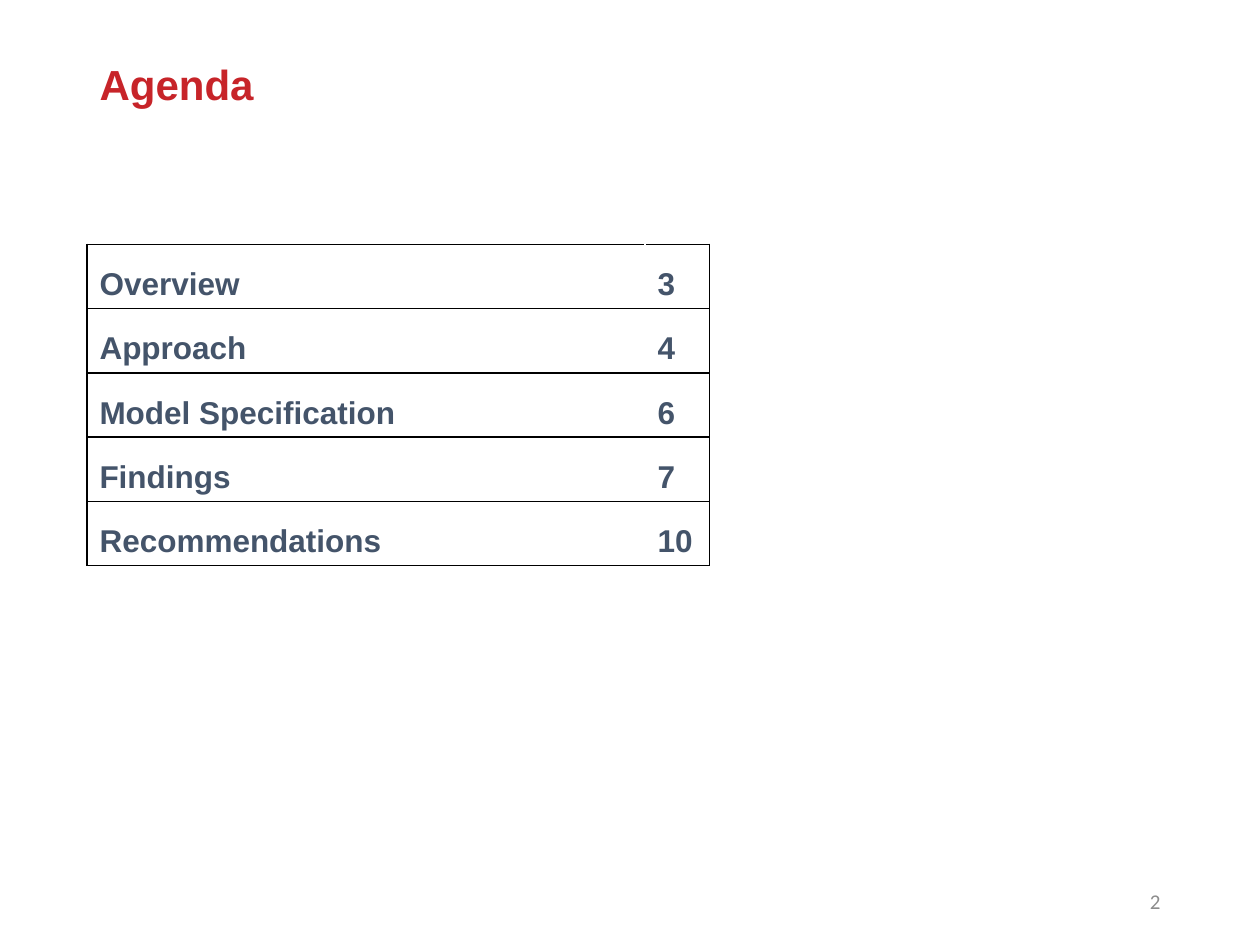
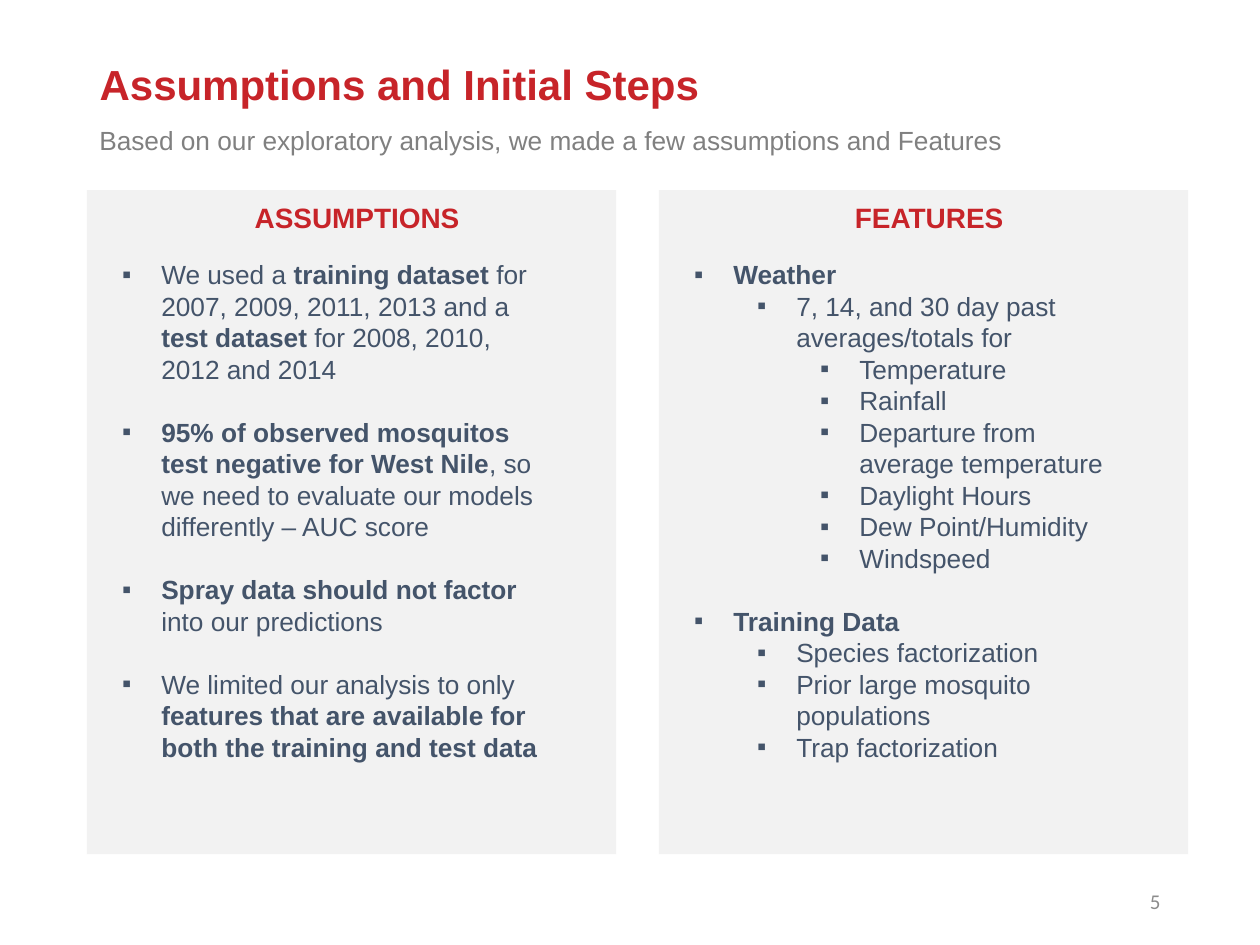
import pptx
import pptx.dml.color
import pptx.enum.shapes
import pptx.enum.text
import pptx.util
import lxml.etree

# Content: asterisks enclose bold words, numbers are list levels
AGENDA = [("Overview", "3"), ("Approach", "4"), ("Model Specification", "6"),
          ("Findings", "7"), ("Recommendations", "10")]
STEPS_TITLE = "Assumptions and Initial Steps"
STEPS_SUBTITLE = "Based on our exploratory analysis, we made a few assumptions and Features"
PANELS = [
    ("ASSUMPTIONS", [
        (0, "We used a *training dataset *for 2007, 2009, 2011, 2013 and a "
            "*test dataset *for 2008, 2010, 2012 and 2014"),
        (0, "*95% of observed mosquitos test negative for West Nile*, so we need to "
            "evaluate our models differently – AUC score"),
        (0, "*Spray data should not factor *into our predictions"),
        (0, "We limited our analysis to only *features that are available for both "
            "the training and test data*"),
    ]),
    ("FEATURES", [
        (0, "*Weather*"),
        (1, "7, 14, and 30 day past averages/totals for"),
        (2, "Temperature"),
        (2, "Rainfall"),
        (2, "Departure from average temperature"),
        (2, "Daylight Hours"),
        (2, "Dew Point/Humidity"),
        (2, "Windspeed"),
        (0, "*Training Data*"),
        (1, "Species factorization"),
        (1, "Prior large mosquito populations"),
        (1, "Trap factorization"),
    ]),
]

# Shared style and grid, in inches
RED, SLATE, GREY, PALE, FOOTER = "C72429", "44546A", "808080", "F2F2F2", "8C8C8C"
BLACK, WHITE = "000000", "FFFFFF"
LEFT = 0.69
PANEL_TOP, PANEL_WIDTH, PANEL_HEIGHT, PANEL_STEP = 1.51, 4.2, 5.27, 4.54
TEXT_WIDTH = 3.49
ROW_HEIGHT, COLUMN_WIDTHS = 0.51, (4.43, 0.51)
INDENT, LEVEL_STEP = 0.31, 0.5
BODY_SIZE, ITEM_GAP = 15, 18
ALIGN = pptx.enum.text.PP_ALIGN
ANCHOR = pptx.enum.text.MSO_ANCHOR
Inches, Pt = pptx.util.Inches, pptx.util.Pt


def color(value):
    return pptx.dml.color.RGBColor.from_string(value)


def style_font(font, size, value, bold=False, name="Arial"):
    font.name, font.size, font.bold = name, Pt(size), bold
    font.color.rgb = color(value)


def place(shape, left, top, width, height):
    shape.left, shape.top = Inches(left), Inches(top)
    shape.width, shape.height = Inches(width), Inches(height)


def set_frame(frame, anchor=ANCHOR.TOP, right=0.0):
    frame.word_wrap = True
    frame.auto_size = pptx.enum.text.MSO_AUTO_SIZE.NONE
    frame.vertical_anchor = anchor
    frame.margin_right = Inches(right)


def add_label(page, text, area, size, value, align=ALIGN.LEFT, **font):
    box = page.shapes.add_textbox(*map(Inches, area))
    set_frame(box.text_frame)
    para = box.text_frame.paragraphs[0]
    para.text, para.alignment = text, align
    style_font(para.runs[0].font, size, value, **font)
    return box


def add_page(deck, layout, title, number):
    page = deck.slides.add_slide(deck.slide_layouts.get_by_name(layout))
    heading = page.shapes.title
    place(heading, LEFT, 0.4, 8.62, 0.58)
    set_frame(heading.text_frame, ANCHOR.MIDDLE, 0.1)
    heading.text_frame.text = title
    para = heading.text_frame.paragraphs[0]
    para.alignment, para.line_spacing = ALIGN.LEFT, 0.9
    style_font(para.runs[0].font, 24, RED, bold=True)
    footer = add_label(page, number, (7.06, 6.95, 2.25, 0.4), 12, FOOTER,
                       ALIGN.RIGHT, name="Calibri")
    set_frame(footer.text_frame, ANCHOR.MIDDLE, 0.1)
    return page


def add_xml(parent, tag, **attributes):
    name = pptx.oxml.ns.qn("a:" + tag)
    return lxml.etree.SubElement(parent, name, attributes)


def set_borders(cell, **sides):
    """Draw 1 pt cell borders; they must come before the cell's fill."""
    properties = cell._tc.get_or_add_tcPr()
    for position, (side, value) in enumerate(sides.items()):
        line = add_xml(properties, "ln" + side, w=str(Pt(1)))
        add_xml(add_xml(line, "solidFill"), "srgbClr", val=value)
        properties.insert(position, line)


def add_agenda(page):
    frame = page.shapes.add_table(
        len(AGENDA), len(COLUMN_WIDTHS), Inches(LEFT), Inches(1.94),
        Inches(sum(COLUMN_WIDTHS)), Inches(ROW_HEIGHT * len(AGENDA)))
    table = frame.table
    table.first_row = table.horz_banding = False
    for column, width in zip(table.columns, COLUMN_WIDTHS):
        column.width = Inches(width)
    for row, entry in enumerate(AGENDA):
        table.rows[row].height = Inches(ROW_HEIGHT)
        for column, text in enumerate(entry):
            cell = table.cell(row, column)
            cell.text, cell.vertical_anchor = text, ANCHOR.BOTTOM
            style_font(cell.text_frame.paragraphs[0].runs[0].font, 18, SLATE, bold=True)
            cell.fill.background()
            outer = (BLACK, WHITE) if column == 0 else (WHITE, BLACK)
            set_borders(cell, L=outer[0], R=outer[1], T=BLACK, B=BLACK)


def fill_list(body, items):
    set_frame(body.text_frame)
    for index, (level, text) in enumerate(items):
        para = body.text_frame.paragraphs[0] if index == 0 else body.text_frame.add_paragraph()
        para.level, para.alignment = level, ALIGN.LEFT
        para.space_before = Pt(ITEM_GAP if index and level == 0 else 0)
        properties = para._p.get_or_add_pPr()
        properties.set("marL", str(Inches(INDENT + level * LEVEL_STEP)))
        properties.set("indent", str(-Inches(INDENT)))
        add_xml(properties, "buFont", typeface="Arial")
        add_xml(properties, "buChar", char="▪")
        for part, words in enumerate(text.split("*")):
            if words:
                span = para.add_run()
                span.text = words
                style_font(span.font, BODY_SIZE, SLATE, bold=part % 2 == 1)


def add_panel(page, body, left, heading, items):
    panel = page.shapes.add_shape(
        pptx.enum.shapes.MSO_SHAPE.RECTANGLE,
        *map(Inches, (left, PANEL_TOP, PANEL_WIDTH, PANEL_HEIGHT)))
    panel.shadow.inherit = False
    panel.fill.solid()
    panel.fill.fore_color.rgb = color(PALE)
    panel.line.fill.background()
    # Send the panel behind the placeholders
    page.shapes._spTree.insert(2, panel._element)
    add_label(page, heading, (left + 0.35, 1.54, TEXT_WIDTH, 0.37), 16, RED,
              ALIGN.CENTER, bold=True)
    place(body, left + 0.18, 2, TEXT_WIDTH, 4.39)
    fill_list(body, items)


def main():
    deck = pptx.Presentation()
    deck.slide_width, deck.slide_height = Inches(10), Inches(7.5)

    # Agenda
    add_agenda(add_page(deck, "Title Only", "Agenda", "2"))

    # Assumptions and features
    page = add_page(deck, "Two Content", STEPS_TITLE, "5")
    add_label(page, STEPS_SUBTITLE, (LEFT, 0.94, 8.26, 0.35), BODY_SIZE, GREY)
    bodies = list(page.placeholders)[1:]
    for index, (body, (heading, items)) in enumerate(zip(bodies, PANELS)):
        add_panel(page, body, LEFT + index * PANEL_STEP, heading, items)

    deck.save("out.pptx")


if __name__ == "__main__":
    main()
